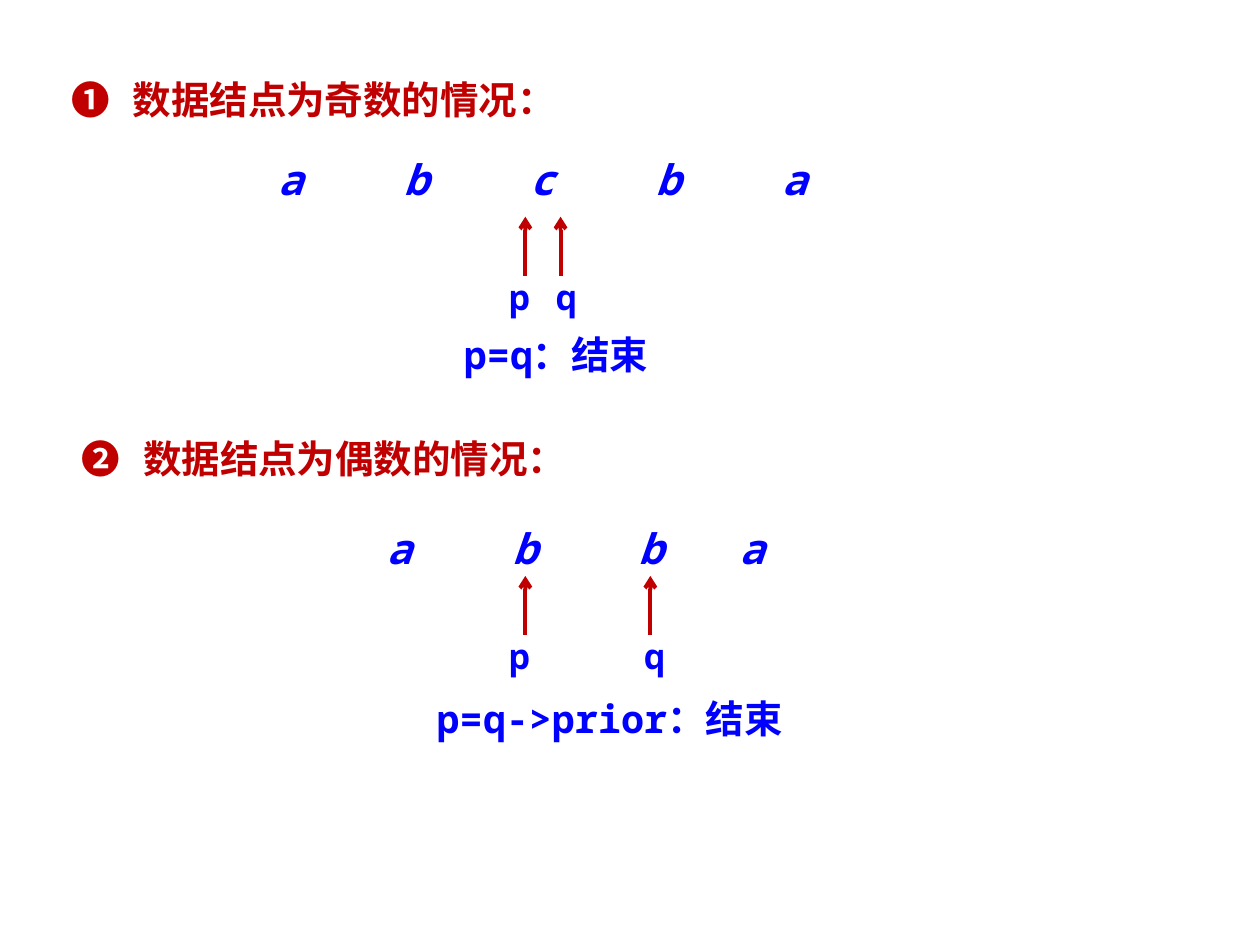
import pptx
import pptx.dml.color
import pptx.enum.shapes
import pptx.enum.text
import pptx.oxml
import pptx.oxml.ns
import pptx.util
from pptx.util import Cm

RED = pptx.dml.color.RGBColor(0xC0, 0x00, 0x00)
BLUE = pptx.dml.color.RGBColor(0x00, 0x00, 0xFF)
FONT = "Noto Sans Mono"
LEFT = pptx.enum.text.PP_ALIGN.LEFT
CENTER = pptx.enum.text.PP_ALIGN.CENTER
ARROW_LENGTH = 1.19
LETTER_INSET = 1.03


def add_child(parent, tag, **attributes):
    child = pptx.oxml.parse_xml(f"<a:{tag} {pptx.oxml.ns.nsdecls('a')}/>")
    for name, value in attributes.items():
        child.set(name, str(value))
    parent.append(child)
    return child


def add_text(shapes, text, place, size, color, align=CENTER, italic=None):
    box = shapes.add_textbox(*(Cm(length) for length in place))
    frame = box.text_frame
    frame.word_wrap = True
    frame.auto_size = pptx.enum.text.MSO_AUTO_SIZE.SHAPE_TO_FIT_TEXT
    frame.text = text
    para = frame.paragraphs[0]
    para.alignment = align
    for span in para.runs:
        span.font.name = FONT
        span.font.size = pptx.util.Pt(size)
        span.font.bold = True
        span.font.italic = italic
        span.font.color.rgb = color
        add_child(span.font._element, "ea", typeface=FONT)
    return box


def add_heading(shapes, text, left, top, width):
    add_text(shapes, text, (left, top, width, 1.19), 22, RED, LEFT)


def add_letters(shapes, letters, stops, left, top, width):
    place = (left, top, width, 1.27)
    box = add_text(shapes, "\t".join(letters), place, 24, BLUE, LEFT, True)
    box.text_frame.margin_left = Cm(LETTER_INSET)
    properties = box.text_frame.paragraphs[0]._p.get_or_add_pPr()
    tabs = add_child(properties, "tabLst")
    for stop in stops:
        add_child(tabs, "tab", pos=int(Cm(stop)), algn="l")


def add_pointer(shapes, name, x, bottom, label_left):
    arrow = shapes.add_connector(
        pptx.enum.shapes.MSO_CONNECTOR.STRAIGHT,
        Cm(x), Cm(bottom), Cm(x), Cm(bottom - ARROW_LENGTH))
    arrow.line.color.rgb = RED
    arrow.line.width = pptx.util.Pt(2.25)
    add_child(arrow.line._get_or_add_ln(), "tailEnd", type="arrow")
    add_child(arrow._element.spPr, "effectLst")
    label = add_text(shapes, name, (label_left, bottom, 0.99, 0.86), 20, BLUE)
    frame = label.text_frame
    frame.margin_left = frame.margin_right = 0
    frame.margin_top = frame.margin_bottom = 0


def add_conclusion(shapes, text, left, top, width):
    add_text(shapes, text, (left, top, width, 1.19), 22, BLUE)


def main():
    deck = pptx.Presentation()
    deck.slide_width, deck.slide_height = Cm(25.4), Cm(19.05)
    page = deck.slides.add_slide(deck.slide_layouts[6])

    add_heading(page.shapes, "❶ 数据结点为奇数的情况：", 1.19, 1.4, 11.13)
    odd = page.shapes.add_group_shape().shapes
    add_letters(odd, "abcba", (2.54, 5.08, 7.62, 10.16), 4.57, 2.97, 12.7)
    add_pointer(odd, "p", 10.59, 5.56, 9.98)
    add_pointer(odd, "q", 11.3, 5.56, 10.92)
    add_conclusion(odd, "p=q：结束", 8.53, 6.55, 5.36)

    even = page.shapes.add_group_shape().shapes
    add_letters(even, "abba", (2.54, 5.08, 7.11), 6.76, 10.41, 9.73)
    add_pointer(even, "p", 10.59, 12.8, 9.98)
    add_pointer(even, "q", 13.11, 12.8, 12.7)
    add_conclusion(even, "p=q->prior：结束", 7.92, 13.89, 8.74)
    add_heading(page.shapes, "❷ 数据结点为偶数的情况：", 1.4, 8.64, 10.72)

    deck.save("out.pptx")


if __name__ == "__main__":
    main()
